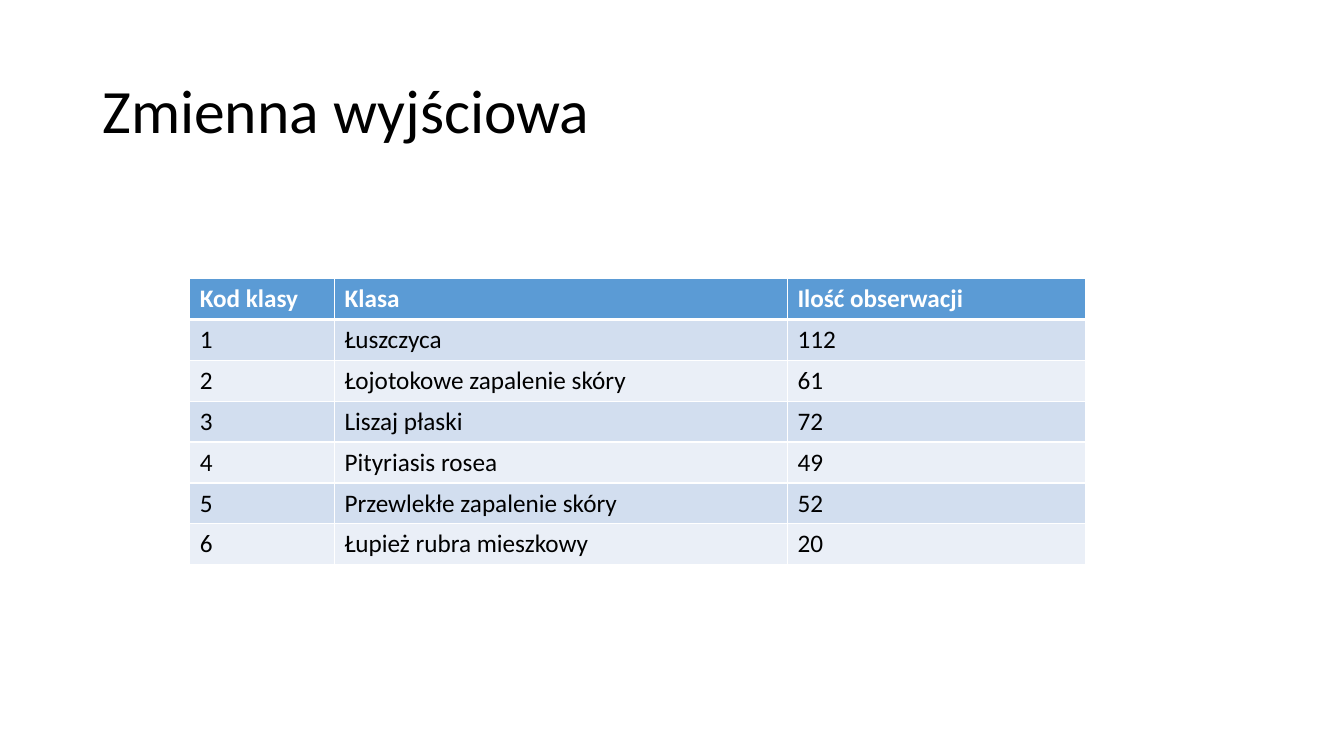
"""Build the slide on the output variable: class codes, names and observation counts."""
from typing import NamedTuple

from lxml import etree
from pptx import Presentation
from pptx.dml.color import RGBColor
from pptx.enum import text
from pptx.oxml import ns
from pptx.util import Pt

WHITE = RGBColor(0xFF, 0xFF, 0xFF)
BLACK = RGBColor(0, 0, 0)
HEADER_BLUE = RGBColor(0x5B, 0x9B, 0xD5)
BAND_DARK = RGBColor(0xD2, 0xDE, 0xEF)
BAND_LIGHT = RGBColor(0xEA, 0xEF, 0xF7)
FONT = "Calibri"
ROW_HEIGHT = Pt(29.2)
THIN, THICK = Pt(1), Pt(3)


class Column(NamedTuple):
    heading: str
    width: Pt


class SkinClass(NamedTuple):
    code: int
    name: str
    observations: int


COLUMNS = [
    Column("Kod klasy", Pt(103.5)),
    Column("Klasa", Pt(323.5)),
    Column("Ilość obserwacji", Pt(213)),
]
CLASSES = [
    SkinClass(1, "Łuszczyca", 112),
    SkinClass(2, "Łojotokowe zapalenie skóry", 61),
    SkinClass(3, "Liszaj płaski", 72),
    SkinClass(4, "Pityriasis rosea", 49),
    SkinClass(5, "Przewlekłe zapalenie skóry", 52),
    SkinClass(6, "Łupież rubra mieszkowy", 20),
]


def style_font(paragraph, size: int, colour: RGBColor, bold: bool = False) -> None:
    """Set the font of a whole paragraph."""
    font = paragraph.font
    font.name, font.size, font.bold = FONT, Pt(size), bold
    font.color.rgb = colour


def add_borders(cell, top: int, bottom: int) -> None:
    """Draw white lines on all four sides of a cell."""
    properties = cell._tc.get_or_add_tcPr()
    for side, width in {"lnL": THIN, "lnR": THIN, "lnT": top, "lnB": bottom}.items():
        line = etree.SubElement(properties, ns.qn(f"a:{side}"), w=str(width))
        fill = etree.SubElement(line, ns.qn("a:solidFill"))
        etree.SubElement(fill, ns.qn("a:srgbClr"), val=str(WHITE))


def fill_cell(cell, content: str, row: int) -> None:
    """Write one cell in the style of its row."""
    header = row == 0
    cell.text = content
    style_font(cell.text_frame.paragraphs[0], 18, WHITE if header else BLACK, header)
    add_borders(cell, THICK if row == 1 else THIN, THICK if header else THIN)
    cell.fill.solid()
    band = BAND_DARK if row % 2 else BAND_LIGHT
    cell.fill.fore_color.rgb = HEADER_BLUE if header else band


def add_title(slide, wording: str) -> None:
    """Place the slide title."""
    frame = slide.shapes.add_textbox(Pt(66), Pt(28.8), Pt(828), Pt(104.4)).text_frame
    frame.word_wrap = True
    frame.vertical_anchor = text.MSO_ANCHOR.MIDDLE
    frame.text = wording
    heading = frame.paragraphs[0]
    heading.line_spacing = 0.9
    style_font(heading, 44, BLACK)


def add_class_table(slide) -> None:
    """Place the table of classes under its headings."""
    rows = [[column.heading for column in COLUMNS], *CLASSES]
    width = sum(column.width for column in COLUMNS)
    table = slide.shapes.add_table(
        len(rows), len(COLUMNS), Pt(135.5), Pt(199), width, ROW_HEIGHT * len(rows)
    ).table
    for table_column, column in zip(table.columns, COLUMNS):
        table_column.width = column.width
    for row, contents in enumerate(rows):
        table.rows[row].height = ROW_HEIGHT
        for column, content in enumerate(contents):
            fill_cell(table.cell(row, column), str(content), row)


def main() -> None:
    """Build and save the presentation."""
    presentation = Presentation()
    presentation.slide_width, presentation.slide_height = Pt(960), Pt(540)
    slide = presentation.slides.add_slide(presentation.slide_layouts[6])
    add_title(slide, "Zmienna wyjściowa")
    add_class_table(slide)
    presentation.save("out.pptx")


main()
